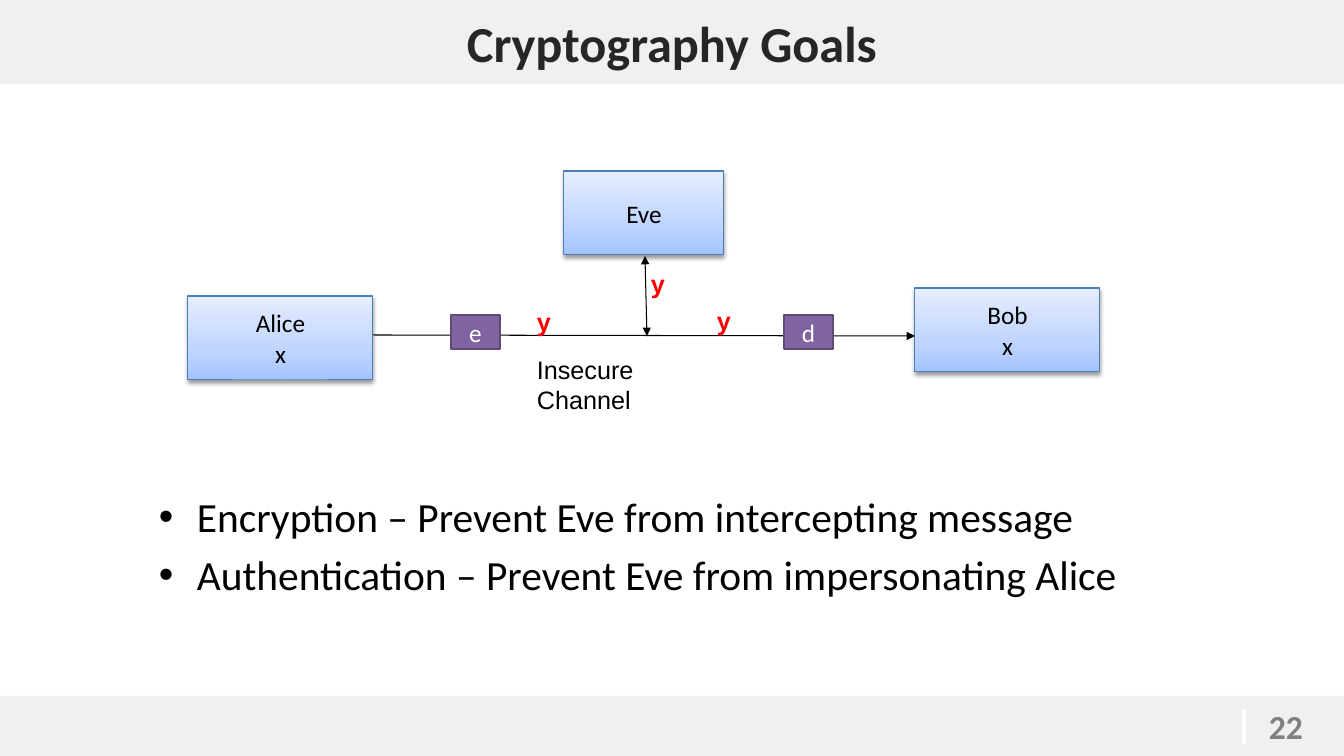
"""Build the Cryptography Goals slide with its channel diagram."""
import dataclasses
import typing

import lxml.etree
import pptx
import pptx.dml.color
import pptx.enum.shapes
import pptx.enum.text
import pptx.oxml.ns
import pptx.util

Align = pptx.enum.text.PP_ALIGN
Anchor = pptx.enum.text.MSO_ANCHOR
Kind = pptx.enum.shapes.MSO_SHAPE
SCALE = 914400 / 100.8
SPACE = pptx.oxml.ns.nsdecls("a")


@dataclasses.dataclass(frozen=True)
class Theme:
    band: str = "F0F0F0"
    white: str = "FFFFFF"
    black: str = "000000"
    title: str = "262626"
    page: str = "808080"
    edge: str = "4B7EBC"
    coder: str = "8064A2"
    rim: str = "5F4A78"
    cipher: str = "FF0000"
    blues: tuple = ((0, "A4C4FF"), (35, "BFD4FF"), (100, "E6EEFF"))
    head: float = 36
    body: float = 29.6
    foot: float = 24
    label: float = 18
    sans: str = "Calibri"
    arial: str = "Arial"


THEME = Theme()


class Area(typing.NamedTuple):
    x: int
    y: int
    w: int
    h: int


@dataclasses.dataclass(frozen=True)
class Style:
    size: float = THEME.label
    color: str = THEME.black
    font: str = THEME.sans
    bold: bool = False
    align: typing.Any = Align.CENTER
    anchor: typing.Any = Anchor.MIDDLE


@dataclasses.dataclass(frozen=True)
class Item:
    area: Area
    lines: tuple = ()
    style: Style = Style()


@dataclasses.dataclass(frozen=True)
class Link:
    start: tuple
    end: tuple
    color: str = THEME.black
    width: float = 0.75
    ends: tuple = ()


PLAIN = Style(font=THEME.arial, align=Align.LEFT, anchor=Anchor.TOP)
CIPHER = dataclasses.replace(PLAIN, color=THEME.cipher, bold=True)
CODER = Style(color=THEME.white)
PAGE = Style(THEME.foot, THEME.page, bold=True, align=Align.LEFT, anchor=Anchor.TOP)
TITLE = Style(THEME.head, THEME.title, bold=True)
BODY = Style(THEME.body, align=Align.LEFT, anchor=Anchor.TOP)

BANDS = (
    Item(Area(0, 696, 1344, 60)),
    Item(Area(0, 0, 1344, 84), ("Cryptography Goals",), TITLE),
)
GOALS = Item(
    Area(149, 486, 995, 163),
    (
        "Encryption – Prevent Eve from intercepting message",
        "Authentication – Prevent Eve from impersonating Alice",
    ),
    BODY,
)
PEOPLE = (
    Item(Area(188, 296, 185, 84), ("Alice", "x")),
    Item(Area(915, 288, 185, 84), ("Bob", "x")),
    Item(Area(564, 171, 160, 84), ("Eve",)),
)
LINKS = (
    Link((1244, 709), (1244, 744), THEME.white, 3),
    Link((373, 335), (915, 336), ends=("tailEnd",)),
    Link((645, 256), (647, 336), ends=("headEnd", "tailEnd")),
)
CODERS = tuple(
    Item(Area(x, 315, 49, 34), (name,), CODER) for x, name in ((451, "e"), (784, "d"))
)
NOTES = (
    Item(Area(1259, 701, 85, 50), ("22",), PAGE),
    Item(Area(527, 349, 199, 70), ("Insecure Channel",), PLAIN),
) + tuple(
    Item(Area(x, y, 48, 40), ("y",), CIPHER)
    for x, y in ((527, 301), (707, 300), (641, 263))
)


def px(*spans: int) -> list[int]:
    """Turn pixels into EMU."""
    return [round(span * SCALE) for span in spans]


def rgb(code: str) -> pptx.dml.color.RGBColor:
    """Turn a hex code into a colour."""
    return pptx.dml.color.RGBColor.from_string(code)


def apply(target: typing.Any, values: dict) -> None:
    """Set every format value on the target."""
    for name, value in values.items():
        setattr(target, name, value)


def write(shape: typing.Any, item: Item, bullet: bool = False) -> None:
    """Fill a shape with styled lines of text."""
    style = item.style
    apply(shape.text_frame, {"word_wrap": True, "vertical_anchor": style.anchor})
    shape.text_frame.text = "\n".join(item.lines)
    for rank, para in enumerate(shape.text_frame.paragraphs):
        para.alignment = style.align
        if bullet:
            para.space_before = pptx.util.Pt(6 if rank else 0)
            props = para._p.get_or_add_pPr()
            indent = px(38)[0]
            props.set("marL", str(indent))
            props.set("indent", str(-indent))
            props.append(lxml.etree.fromstring(
                f'<a:buFont {SPACE} typeface="{THEME.arial}"/>'))
            props.append(lxml.etree.fromstring(f'<a:buChar {SPACE} char="•"/>'))
        for run in para.runs:
            apply(run.font, {
                "size": pptx.util.Pt(style.size),
                "name": style.font,
                "bold": style.bold,
            })
            run.font.color.rgb = rgb(style.color)


def block(slide: typing.Any, item: Item, fill: str, edge: str = "",
          width: float = 0.75, kind: typing.Any = Kind.RECTANGLE) -> typing.Any:
    """Draw a filled shape holding text."""
    shape = slide.shapes.add_shape(kind, *px(*item.area))
    shape.shadow.inherit = False
    shape.fill.solid()
    shape.fill.fore_color.rgb = rgb(fill)
    if edge:
        shape.line.color.rgb = rgb(edge)
        shape.line.width = pptx.util.Pt(width)
    else:
        shape.line.fill.background()
    write(shape, item)
    return shape


def person(slide: typing.Any, item: Item) -> None:
    """Draw a party as a shaded box with a soft shadow."""
    props = block(slide, item, THEME.white, THEME.edge)._element.spPr
    stops = "".join(
        f'<a:gs pos="{at * 1000}"><a:srgbClr val="{code}"/></a:gs>'
        for at, code in THEME.blues
    )
    shade = lxml.etree.fromstring(
        f'<a:gradFill {SPACE} rotWithShape="1"><a:gsLst>{stops}</a:gsLst>'
        '<a:lin ang="16200000" scaled="0"/></a:gradFill>')
    props.replace(props.find(pptx.oxml.ns.qn("a:solidFill")), shade)
    glow = lxml.etree.fromstring(
        f'<a:outerShdw {SPACE} blurRad="40000" dist="20000" dir="5400000" '
        f'rotWithShape="0"><a:srgbClr val="{THEME.black}">'
        '<a:alpha val="38000"/></a:srgbClr></a:outerShdw>')
    props.find(pptx.oxml.ns.qn("a:effectLst")).append(glow)


def join(slide: typing.Any, link: Link) -> None:
    """Draw a line with its arrowheads."""
    line = slide.shapes.add_connector(
        pptx.enum.shapes.MSO_CONNECTOR.STRAIGHT, *px(*link.start, *link.end))
    line.line.color.rgb = rgb(link.color)
    line.line.width = pptx.util.Pt(link.width)
    props = line._element.spPr
    for end in link.ends:
        props.find(pptx.oxml.ns.qn("a:ln")).append(
            lxml.etree.fromstring(f'<a:{end} {SPACE} type="triangle"/>'))
    props.append(lxml.etree.fromstring(f"<a:effectLst {SPACE}/>"))


def main() -> None:
    """Draw and save the slide."""
    deck = pptx.Presentation()
    wide, high = px(1344, 756)
    apply(deck, {"slide_width": wide, "slide_height": high})
    slide = deck.slides.add_slide(deck.slide_layouts[6])
    for item in BANDS:
        block(slide, item, THEME.band)
    write(slide.shapes.add_textbox(*px(*GOALS.area)), GOALS, bullet=True)
    for item in PEOPLE:
        person(slide, item)
    for link in LINKS:
        join(slide, link)
    for item in CODERS:
        block(slide, item, THEME.coder, THEME.rim, 2, Kind.FLOWCHART_PROCESS)
    for item in NOTES:
        write(slide.shapes.add_textbox(*px(*item.area)), item)
    deck.save("out.pptx")


if __name__ == "__main__":
    main()
